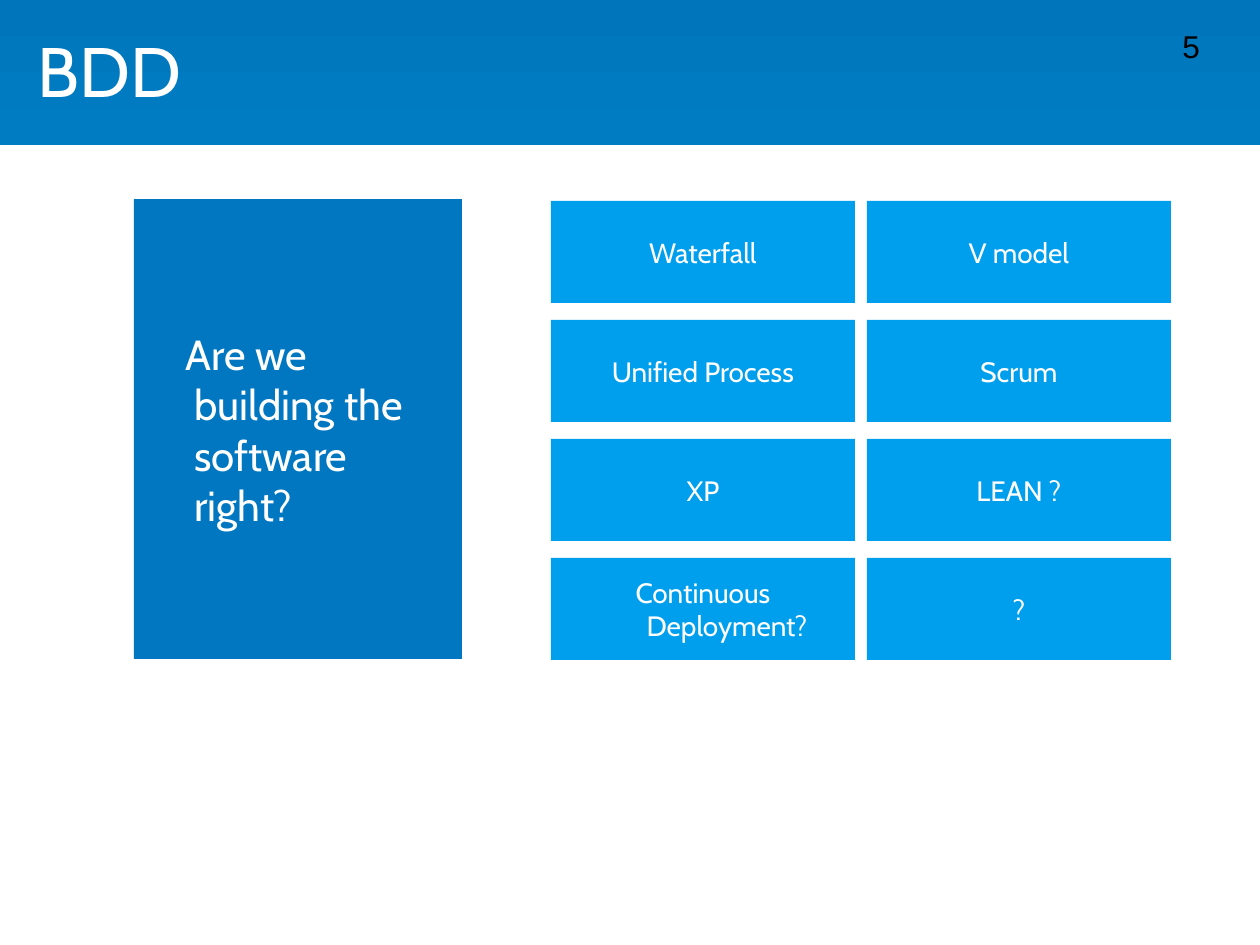
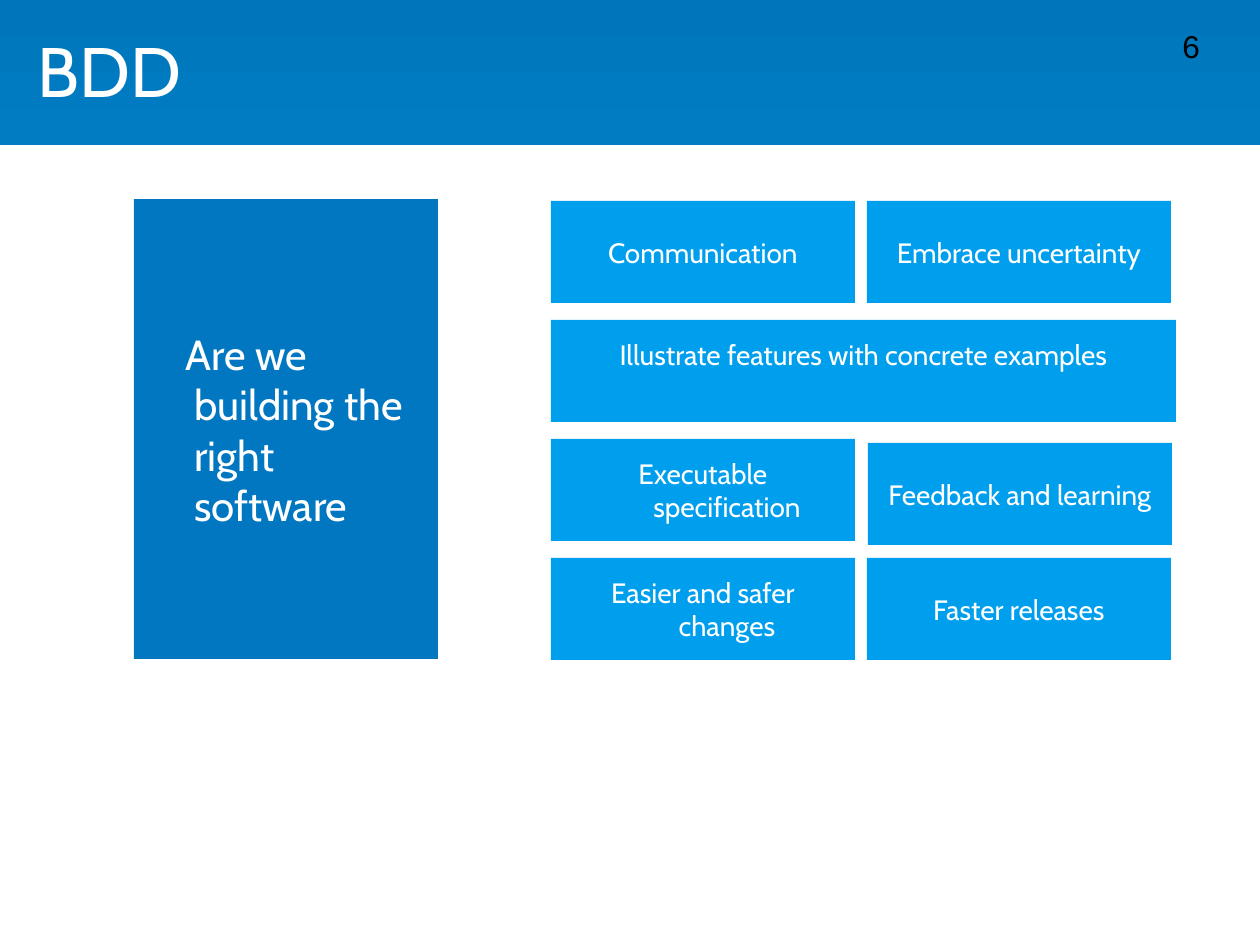
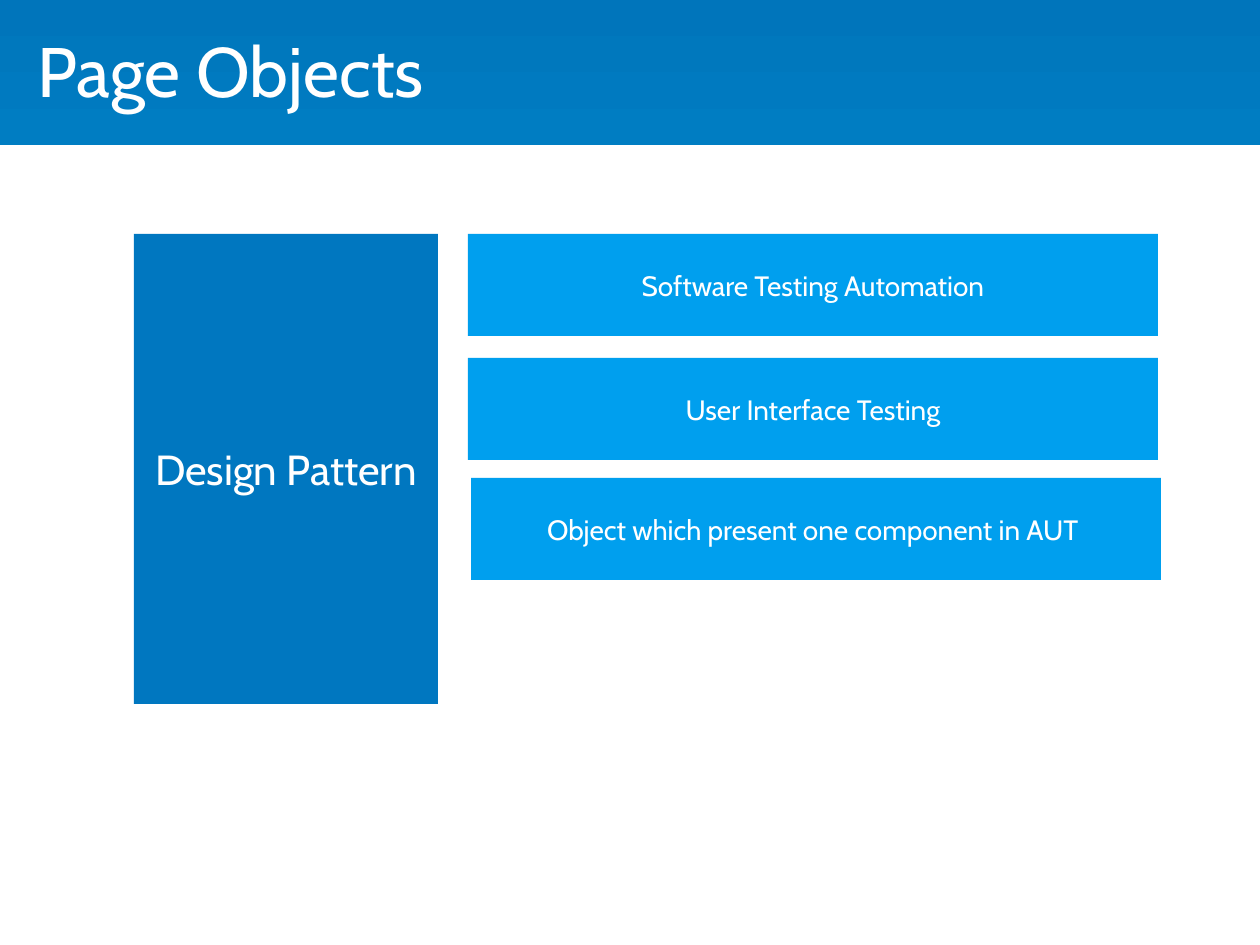
from pptx import Presentation
from pptx.dml.color import RGBColor
from pptx.enum.shapes import MSO_SHAPE
from pptx.enum.text import MSO_ANCHOR, MSO_AUTO_SIZE, PP_ALIGN
from pptx.util import Emu, Pt

RECT = MSO_SHAPE.RECTANGLE
TOP, MIDDLE = MSO_ANCHOR.TOP, MSO_ANCHOR.MIDDLE
LEFT, CENTER = PP_ALIGN.LEFT, PP_ALIGN.CENTER
FIXED = MSO_AUTO_SIZE.NONE

SCALE = 914400 // 126
HANG = 48
COLORS = {"top": "0075BB", "base": "007DC2", "panel": "0077C0",
          "tile": "009FEE", "light": "FFFFFF", "dark": "000000"}

# Tile grid: two columns and four rows
COLS = (551, 867)
ROWS = [201 + 119 * i for i in range(4)]
WIDE, HIGH = 304, 102


def write(shape, text, size, color="light", font="Cabin", align=CENTER,
          anchor=MIDDLE, hang=HANG, first=-HANG):
    frame = shape.text_frame
    frame.word_wrap = True
    frame.auto_size = FIXED
    frame.vertical_anchor = anchor
    para = frame.paragraphs[0]
    para.alignment = align
    props = para._p.get_or_add_pPr()
    props.set("marL", str(hang * SCALE))
    props.set("indent", str(first * SCALE))
    run = para.add_run()
    run.text = text
    run.font.size = Pt(size)
    run.font.name = font
    run.font.color.rgb = RGBColor.from_string(COLORS[color])


def block(slide, box, color):
    shape = slide.shapes.add_shape(RECT, *[Emu(v * SCALE) for v in box])
    shape.shadow.inherit = False
    shape.line.fill.background()
    shape.fill.solid()
    shape.fill.fore_color.rgb = RGBColor.from_string(COLORS[color])
    return shape


# Each tile: left, top, width, text
methods = ["Waterfall", "V model", "Unified Process", "Scrum",
           "XP", "LEAN ?", "Continuous Deployment?", "?"]
grid = [(COLS[i % 2], ROWS[i // 2], WIDE, text)
        for i, text in enumerate(methods)]

goals = [
    (COLS[0], ROWS[0], WIDE, "Communication"),
    (COLS[1], ROWS[0], WIDE, "Embrace uncertainty"),
    (COLS[0], ROWS[1], 625, "Illustrate features with concrete examples"),
    (COLS[0], ROWS[2], WIDE, "Executable specification"),
    (868, 443, WIDE, "Feedback and learning"),
    (COLS[0], ROWS[3], WIDE, "Easier and safer changes"),
    (COLS[1], ROWS[3], WIDE, "Faster releases"),
]

traits = [
    (468, 234, 690, "Software Testing Automation"),
    (468, 358, 690, "User Interface Testing"),
    (471, 478, 690, "Object which present one component in AUT "),
]

# Title, page number, panel box, panel text, panel alignment, tiles
pages = [
    ("BDD", "5", (134, 199, 328, 460),
     "Are we building the software right?", LEFT, grid),
    ("BDD", "6", (134, 199, 304, 460),
     "Are we building the right software", LEFT, goals),
    ("Page Objects", None, (134, 234, 304, 470),
     "Design Pattern", CENTER, traits),
]

prs = Presentation()
prs.slide_width = Emu(1260 * SCALE)
prs.slide_height = Emu(945 * SCALE)
layout = prs.slide_layouts[5]

for order, (name, number, box, text, align, tiles) in enumerate(pages):
    slide = prs.slides.add_slide(layout)

    # Header band, placed once on the shared layout
    if order == 0:
        band = block(slide, (0, 0, 1260, 145), "top")
        band.fill.gradient()
        band.fill.gradient_angle = 270
        for stop, key in zip(band.fill.gradient_stops, ("top", "base")):
            stop.color.rgb = RGBColor.from_string(COLORS[key])
        layout.shapes.element.insert(2, band.element)

    # Title
    title = slide.shapes.title
    title.left, title.top, title.width, title.height = [
        Emu(v * SCALE) for v in (25, 21, 1131, 110)]
    write(title, name, 40, align=LEFT, anchor=TOP)

    # Page number
    if number:
        spot = [Emu(v * SCALE) for v in (1170, 21, 61, 32)]
        write(slide.shapes.add_textbox(*spot), number, 18, "dark", "Arial",
              LEFT, TOP, 0, 0)

    # Panel with the main question or theme
    panel = block(slide, box, "panel")
    first = -9 if align == LEFT else -HANG
    write(panel, text, 24, align=align, first=first)

    # Tiles
    for x, y, width, label in tiles:
        tile = block(slide, (x, y, width, HIGH), "tile")
        write(tile, label, 16)
        if width == 625:
            tile.text_frame.margin_bottom = Emu(39 * SCALE)

prs.save("out.pptx")
